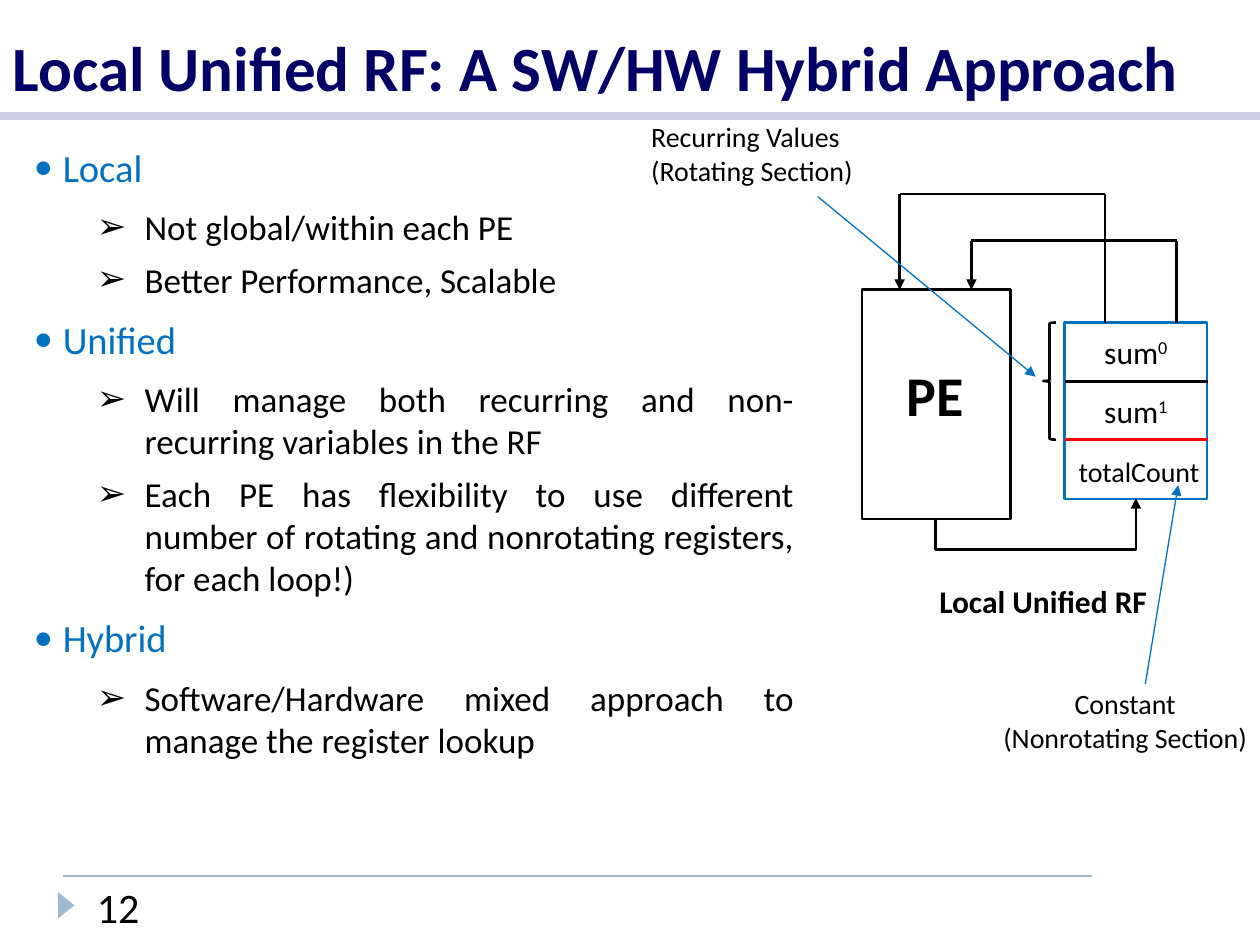
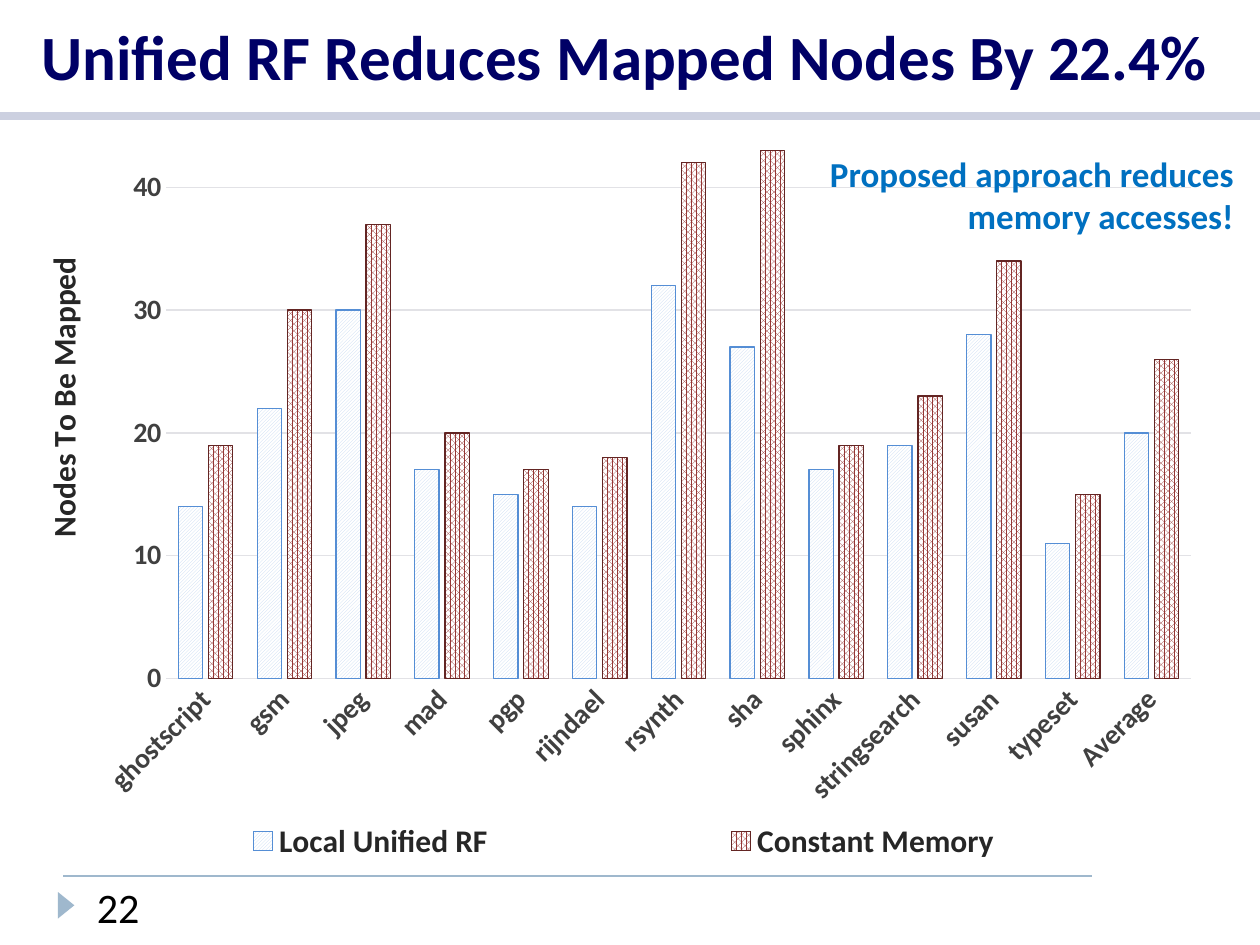
"""Builds two slides on a local unified register file: its design and its results."""
from lxml.etree import SubElement
from pptx import Presentation
from pptx.chart.data import CategoryChartData
from pptx.dml.color import RGBColor
from pptx.enum.chart import XL_CHART_TYPE, XL_LEGEND_POSITION, XL_TICK_MARK
from pptx.enum.dml import MSO_PATTERN
from pptx.enum.shapes import MSO_CONNECTOR, MSO_SHAPE
from pptx.enum.text import MSO_ANCHOR, MSO_AUTO_SIZE, PP_ALIGN
from pptx.oxml import parse_xml
from pptx.oxml.ns import nsdecls, qn
from pptx.util import Pt

PX = 9144
FONT = "Calibri"
COLORS = {
    "title": "000066", "text": "000000", "accent": "0070C0", "divider": "FF0000",
    "band": "CCD0E0", "footer": "9FB8CD", "grid": "E2E2E6",
    "tick": "404040", "label": "262626", "white": "FFFFFF",
    "rf_fill": "C6D9F1", "rf_line": "558ED5", "mem_fill": "953735", "mem_line": "632523",
}
RGB = {name: RGBColor.from_string(value) for name, value in COLORS.items()}


def add_line(s, points, color="text", width=1.5, arrow=False, kind=MSO_CONNECTOR.STRAIGHT):
    """Add a connector between two points given as x, y, x, y."""
    c = s.shapes.add_connector(kind, *(v * PX for v in points))
    c.line.color.rgb = RGB[color]
    c.line.width = Pt(width)
    sp_pr = c._element.spPr
    if arrow:
        SubElement(sp_pr.find(qn("a:ln")), qn("a:tailEnd"), type="triangle")
    SubElement(sp_pr, qn("a:effectLst"))
    return c


def add_text(s, box, content, size, color="text", align=PP_ALIGN.LEFT, bold=False):
    """Add a wrapped text box with one paragraph for each line."""
    tf = s.shapes.add_textbox(*(v * PX for v in box)).text_frame
    tf.word_wrap = True
    tf.text = content
    for p in tf.paragraphs:
        p.alignment = align
        for r in p.runs:
            for key, value in {"name": FONT, "size": Pt(size), "bold": bold}.items():
                setattr(r.font, key, value)
            r.font.color.rgb = RGB[color]
    return tf


prs = Presentation()
prs.slide_width, prs.slide_height = 1000 * PX, 750 * PX

slides = []
for title, box, number in [
    ("Local Unified RF: A SW/HW Hybrid Approach", (0, 3, 1000, 85), "12"),
    ("Unified RF Reduces Mapped Nodes By 22.4%", (23, 23, 958, 56), "22"),
]:
    s = prs.slides.add_slide(prs.slide_layouts[5])
    slides.append(s)
    add_line(s, (50, 695, 867, 695), "footer", 1)
    add_line(s, (0, 92, 1000, 92), "band", 5)
    sp = s.shapes.add_shape(MSO_SHAPE.ISOSCELES_TRIANGLE, *(v * PX for v in (42, 712, 21, 13)))
    sp.rotation = 90
    sp.shadow.inherit = False
    sp.fill.solid()
    sp.fill.fore_color.rgb = RGB["footer"]
    sp.line.fill.background()

    sp = s.shapes.title
    sp.left, sp.top, sp.width, sp.height = (v * PX for v in box)
    tf = sp.text_frame
    tf.text = title
    tf.word_wrap = True
    tf.auto_size = MSO_AUTO_SIZE.NONE
    tf.vertical_anchor = MSO_ANCHOR.BOTTOM
    p = tf.paragraphs[0]
    p.alignment = PP_ALIGN.LEFT
    r = p.runs[0]
    for key, value in {"name": FONT, "size": Pt(36), "bold": True}.items():
        setattr(r.font, key, value)
    r.font.color.rgb = RGB["title"]
    add_text(s, (67, 695, 141, 40), number, 24)

design, results = slides

points = [
    (0, "Local", 9),
    (1, "Not global/within each PE", 6),
    (1, "Better Performance, Scalable", 9),
    (0, "Unified", 9),
    (1, "Will manage both recurring and non-recurring variables in the RF", 6),
    (1, "Each PE has flexibility to use different number of rotating and "
        "nonrotating registers, for each loop!)", 9),
    (0, "Hybrid", 9),
    (1, "Software/Hardware mixed approach to manage the register lookup", 9),
]
levels = [
    {"bullet": "•", "left": 23, "hang": 23, "size": 22, "color": "accent"},
    {"bullet": "➢", "left": 88, "hang": 38, "size": 20, "color": "text"},
]
tf = add_text(design, (17, 109, 623, 554), "\n".join(t for _, t, _ in points), 20,
              align=PP_ALIGN.JUSTIFY)
for p, (level, _, after) in zip(tf.paragraphs, points):
    style = levels[level]
    p.level = level
    p.space_after = Pt(after)
    p_pr = p._p.get_or_add_pPr()
    p_pr.set("marL", str(style["left"] * PX))
    p_pr.set("indent", str(-style["hang"] * PX))
    SubElement(p_pr, qn("a:buFont"), typeface=FONT)
    SubElement(p_pr, qn("a:buChar"), char=style["bullet"])
    p.runs[0].font.size = Pt(style["size"])
    p.runs[0].font.color.rgb = RGB[style["color"]]

outlines = []
for kind, box, color in [
    (MSO_SHAPE.RECTANGLE, (684, 230, 118, 182), "text"),
    (MSO_SHAPE.RECTANGLE, (845, 256, 113, 140), "accent"),
    (MSO_SHAPE.LEFT_BRACE, (828, 256, 10, 93), "text"),
]:
    sp = design.shapes.add_shape(kind, *(v * PX for v in box))
    sp.shadow.inherit = False
    sp.fill.background()
    sp.line.color.rgb = RGB[color]
    sp.line.width = Pt(1.5)
    outlines.append(sp)
pe, registers, brace = outlines

for pe_x, register_x, y in [(714, 877, 154), (771, 934, 191)]:
    add_line(design, (register_x, 256, register_x, y))
    add_line(design, (register_x, y, pe_x, y))
    add_line(design, (pe_x, y, pe_x, 230), arrow=True)

write_path = add_line(design, (743, 412, 902, 396), arrow=True, kind=MSO_CONNECTOR.ELBOW)
write_path.begin_connect(pe, 2)
write_path.end_connect(registers, 2)
write_path.left, write_path.top, write_path.width, write_path.height = (
    v * PX for v in (814, 324, 16, 159))
sp_pr = write_path._element.spPr
for key, value in {"rot": "5400000", "flipH": "1", "flipV": "1"}.items():
    sp_pr.find(qn("a:xfrm")).set(key, value)
SubElement(next(sp_pr.iter(qn("a:avLst"))), qn("a:gd"), name="adj1", fmla="val -153000")

for y, color in [(303, "text"), (349, "divider")]:
    add_line(design, (845, y, 959, y), color)

for box, content, size, bold in [
    ((696, 281, 93, 64), "PE", 32, True),
    ((696, 457, 264, 40), "Local Unified RF", 18, True),
    ((771, 540, 244, 64), "Constant\n(Nonrotating Section)", 16, False),
    ((839, 356, 130, 37), "totalCount", 16, False),
]:
    add_text(design, box, content, size, align=PP_ALIGN.CENTER, bold=bold)
add_text(design, (507, 90, 194, 64), "Recurring Values\n(Rotating Section)", 16)

for i in range(2):
    tf = add_text(design, (845, 259 + 47 * i, 113, 40), "sum", 18, align=PP_ALIGN.CENTER)
    r = tf.paragraphs[0].add_run()
    r.text = str(i)
    r.font.name, r.font.size = FONT, Pt(18)
    r.font.color.rgb = RGB["text"]
    r._r.get_or_add_rPr().set("baseline", "30000")

for ends in [(649, 156, 822, 299), (909, 543, 935, 385)]:
    add_line(design, ends, "accent", 0.75, arrow=True)

data = CategoryChartData()
data.categories = ["ghostscript", "gsm", "jpeg", "mad", "pgp", "rijndael", "rsynth", "sha",
                   "sphinx", "stringsearch", "susan", "typeset", "Average"]
data.add_series("Local Unified RF", [14, 22, 30, 17, 15, 14, 32, 27, 17, 19, 28, 11, 20])
data.add_series("Constant Memory", [19, 30, 37, 20, 17, 18, 42, 43, 19, 23, 34, 15, 26])
chart = results.shapes.add_chart(XL_CHART_TYPE.COLUMN_CLUSTERED,
                                 *(v * PX for v in (16, 91, 958, 604)), data).chart
chart.has_title = False
chart.font.name, chart.font.size = FONT, Pt(10)
chart.font.color.rgb = RGB["text"]

plot = chart.plots[0]
plot.gap_width, plot.overlap, plot.vary_by_categories = 100, -24, False
for series, pattern, name in zip(
        plot.series, (MSO_PATTERN.DARK_UPWARD_DIAGONAL, MSO_PATTERN.PERCENT_75), ("rf", "mem")):
    fill = series.format.fill
    fill.patterned()
    fill.pattern = pattern
    fill.fore_color.rgb = RGB[name + "_fill"]
    fill.back_color.rgb = RGB["white"]
    series.format.line.color.rgb = RGB[name + "_line"]
    series.format.line.width = Pt(0.75)

cat, val = chart.category_axis, chart.value_axis
for key, value in {"minimum_scale": 0, "maximum_scale": 45, "major_unit": 10,
                   "has_major_gridlines": True}.items():
    setattr(val, key, value)
for axis in (cat, val):
    axis.major_tick_mark = axis.minor_tick_mark = XL_TICK_MARK.NONE
for line in (cat.format.line, val.major_gridlines.format.line):
    line.color.rgb = RGB["grid"]
    line.width = Pt(0.75)
val.format.line.fill.background()

axis_title = val.axis_title
axis_title.text_frame.text = "Nodes To Be Mapped"
chart.has_legend = True
legend = chart.legend
legend.position = XL_LEGEND_POSITION.BOTTOM
legend.include_in_layout = False
for font, size, color in [
    (cat.tick_labels.font, 16, "tick"),
    (val.tick_labels.font, 16, "tick"),
    (axis_title.text_frame.paragraphs[0].runs[0].font, 18, "label"),
    (legend.font, 18, "label"),
]:
    for key, value in {"name": FONT, "size": Pt(size), "bold": True}.items():
        setattr(font, key, value)
    font.color.rgb = RGB[color]

for element, degrees in [(cat._element.find(qn("c:txPr")), -45), (axis_title._element, -90)]:
    body = next(element.iter(qn("a:bodyPr")))
    body.set("rot", str(degrees * 60000))
    body.set("vert", "horz")

space = chart._chartSpace
for parent, index, target, sizes in [
    (next(space.iter(qn("c:plotArea"))), 0, "inner", {"x": 0.121, "y": 0.015, "w": 0.849, "h": 0.726}),
    (axis_title._element, 1, None, {"x": 0.013, "y": 0.18}),
    (legend._element, 1, None, {"x": 0, "y": 0.915, "w": 1, "h": 0.08}),
]:
    for old in parent.findall(qn("c:layout")):
        parent.remove(old)
    layout = parse_xml(f"<c:layout {nsdecls('c')}><c:manualLayout/></c:layout>")
    if target:
        SubElement(layout[0], qn("c:layoutTarget"), val=target)
    for axis in "xy":
        SubElement(layout[0], qn(f"c:{axis}Mode"), val="edge")
    for key, value in sizes.items():
        SubElement(layout[0], qn(f"c:{key}"), val=str(value))
    parent.insert(index, layout)
space.find(qn("c:chart")).addnext(parse_xml(
    f"<c:spPr {nsdecls('c', 'a')}><a:noFill/><a:ln><a:noFill/></a:ln></c:spPr>"))

add_text(results, (627, 116, 362, 77), "Proposed approach reduces memory accesses!", 20,
         "accent", PP_ALIGN.RIGHT, True)

prs.save("out.pptx")
